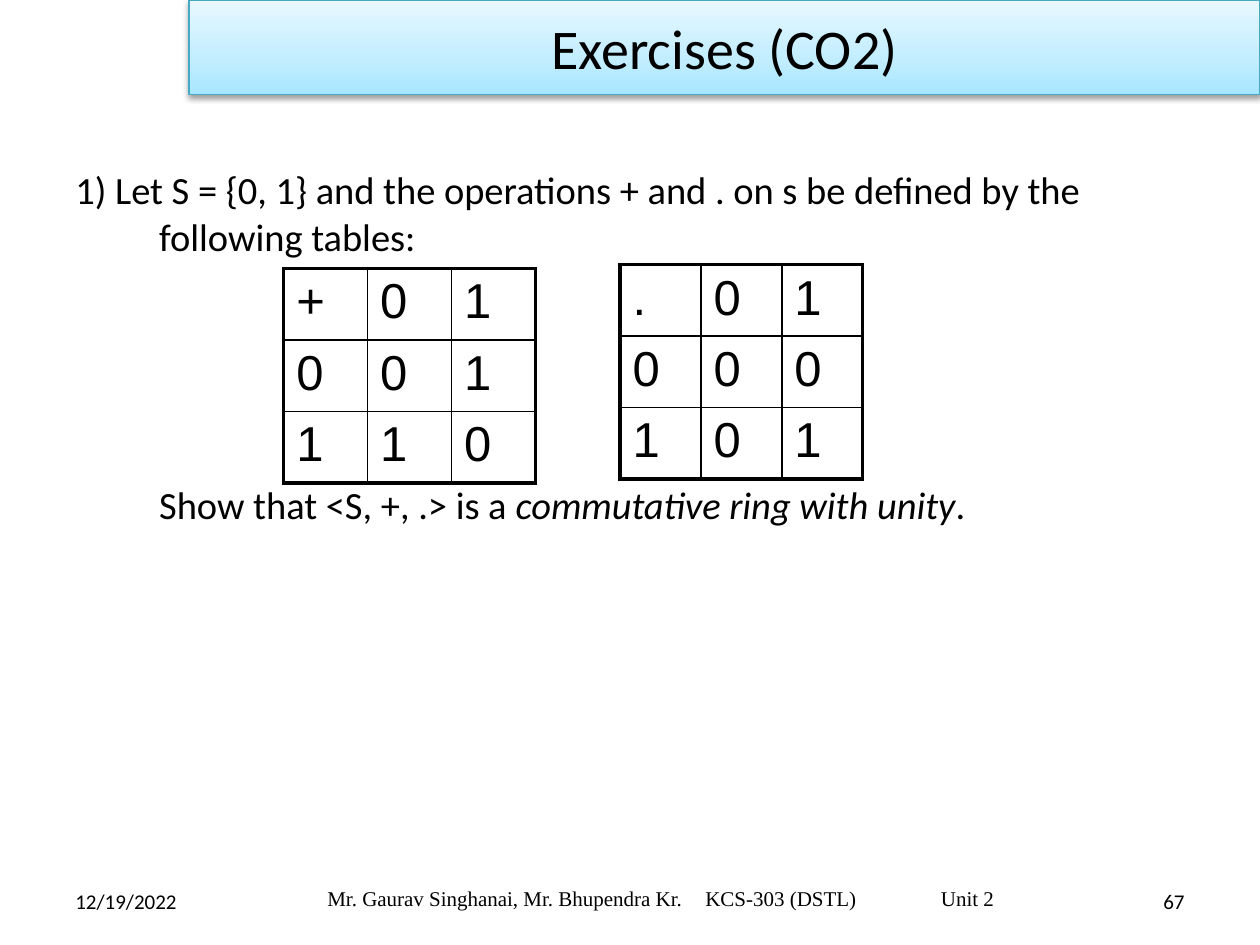
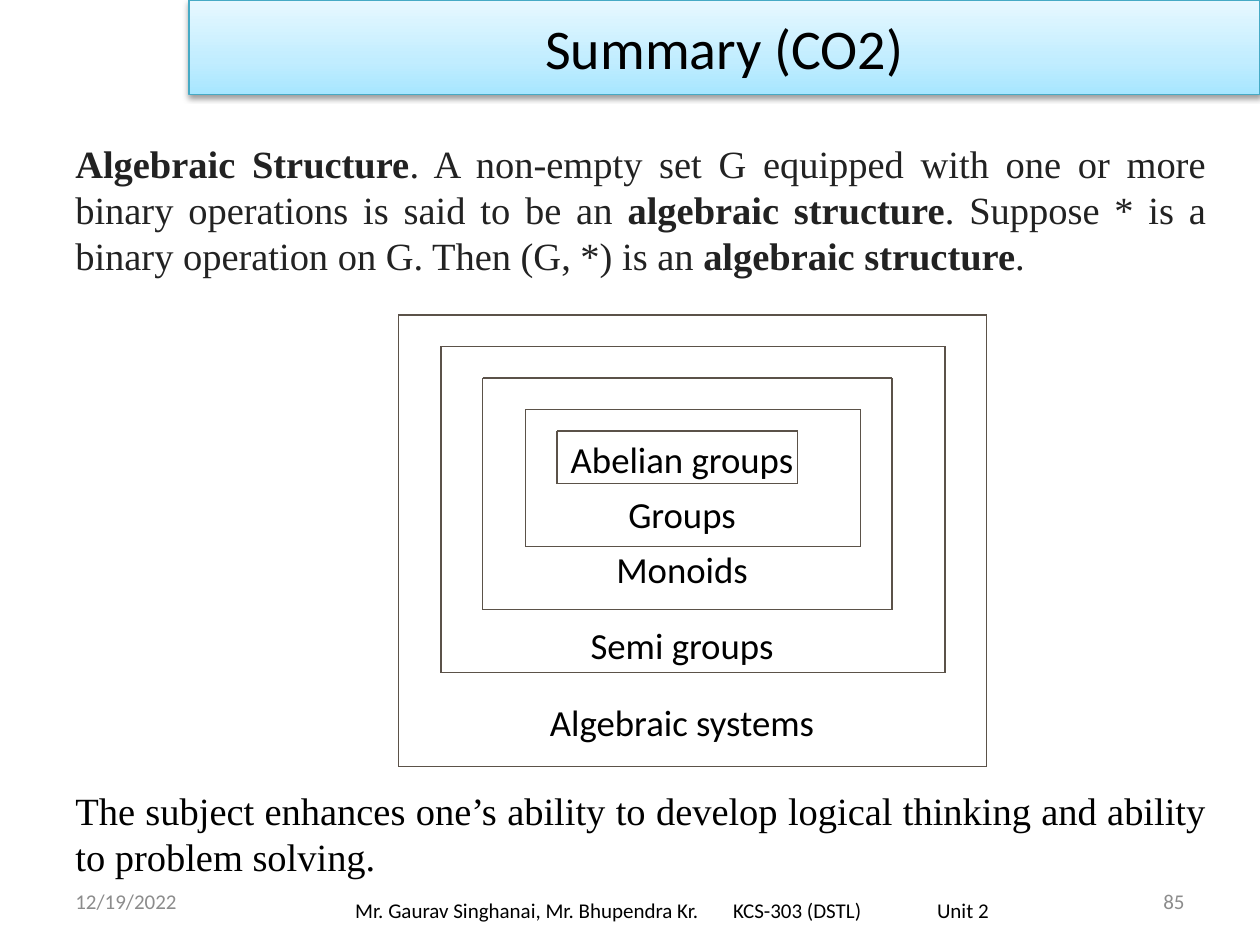
from copy import deepcopy

from lxml import etree
from pptx import Presentation
from pptx import util as u
from pptx.dml import color
from pptx.enum import shapes, text
from pptx.oxml import ns

rgb = color.RGBColor.from_string
BAND_STOPS = [(0, "A7E6FF"), (0.35, "C1EDFF"), (1, "E7F8FF")]
CALIBRI = {"name": "Calibri", "size": u.Pt(12)}
TIMES = {"name": "Times New Roman", "size": u.Pt(12)}
CENTER, RIGHT, JUSTIFY = text.PP_ALIGN.CENTER, text.PP_ALIGN.RIGHT, text.PP_ALIGN.JUSTIFY


def add_run(paragraph, words, font_format, ink="000000", **changes):
    run = paragraph.add_run()
    run.text = words
    for name, value in {**font_format, **changes}.items():
        setattr(run.font, name, value)
    run.font.color.rgb = rgb(ink)


def add_box(slide, left, top, width, height, anchor=text.MSO_ANCHOR.TOP):
    box = slide.shapes.add_textbox(u.Cm(left), u.Cm(top), u.Cm(width), u.Cm(height))
    box.text_frame.word_wrap = True
    box.text_frame.vertical_anchor = anchor
    return box.text_frame


presentation = Presentation()
presentation.slide_width, presentation.slide_height = u.Cm(25.4), u.Cm(19.05)

# Shared title band, date, page number and footer
pages = [
    {"title": "Exercises (CO2)", "number": "67", "ink": "000000", "font": TIMES,
     "footer": (6.35, 17.6), "inset": 0.25, "tabs": (7.62, 12.37)},
    {"title": "Summary (CO2)", "number": "85", "ink": "8C8C8C", "font": CALIBRI,
     "footer": (6.55, 17.83), "inset": 0.61, "tabs": (7.62, 11.73)},
]
for page in pages:
    slide = presentation.slides.add_slide(presentation.slide_layouts[6])
    middle = text.MSO_ANCHOR.MIDDLE

    date = add_box(slide, 1.27, 17.65, 5.92, 1.02, middle).paragraphs[0]
    add_run(date, "12/19/2022", CALIBRI, page["ink"])
    number = add_box(slide, 18.21, 17.65, 5.92, 1.02, middle).paragraphs[0]
    number.alignment = RIGHT
    add_run(number, page["number"], CALIBRI, page["ink"])

    band = slide.shapes.add_shape(shapes.MSO_SHAPE.RECTANGLE, u.Cm(3.81), 0, u.Cm(21.59), u.Cm(1.9))
    band.fill.gradient()
    band.fill.gradient_angle = 90
    stop_list = band._element.spPr.find(".//" + ns.qn("a:gsLst"))
    stop_list.append(deepcopy(stop_list[0]))
    for stop, (position, shade) in zip(band.fill.gradient_stops, BAND_STOPS):
        stop.position = position
        stop.color.rgb = rgb(shade)
    band.line.color.rgb = rgb("46AAC5")
    band.line.width = u.Pt(0.75)
    band.shadow.inherit = False
    band._element.spPr.find(ns.qn("a:effectLst")).append(etree.fromstring(
        f'<a:outerShdw {ns.nsdecls("a")} blurRad="40000" dist="20000" dir="5400000" rotWithShape="0">'
        '<a:srgbClr val="000000"><a:alpha val="38000"/></a:srgbClr></a:outerShdw>'))
    band.text_frame.vertical_anchor = middle
    title = band.text_frame.paragraphs[0]
    title.alignment = CENTER
    add_run(title, page["title"], CALIBRI, size=u.Pt(32))

    footer_frame = add_box(slide, *page["footer"], 13.97, 1.02, middle)
    footer_frame.margin_left = u.Cm(page["inset"])
    footer = footer_frame.paragraphs[0]
    tab_list = etree.SubElement(footer._p.get_or_add_pPr(), ns.qn("a:tabLst"))
    for position in page["tabs"]:
        etree.SubElement(tab_list, ns.qn("a:tab"), pos=str(u.Cm(position)), algn="l")
    add_run(footer, "Mr. Gaurav Singhanai, Mr. Bhupendra Kr.\tKCS-303 (DSTL)\tUnit 2", page["font"])

exercises, summary = presentation.slides

# Exercise wording, with room for the tables
frame = add_box(exercises, 1.27, 3.23, 23.06, 8.84)
question, task = frame.paragraphs[0], frame.add_paragraph()
for paragraph, indent in ((question, -1.69), (task, 0)):
    properties = paragraph._p.get_or_add_pPr()
    properties.set("marL", str(u.Cm(1.69)))
    properties.set("indent", str(u.Cm(indent)))
task.space_before = u.Pt(127)
body = {**CALIBRI, "size": u.Pt(22)}
add_run(question, "1) Let S = {0, 1} and the operations + and . on s be defined by the following tables:", body)
add_run(task, "Show that <S, +, .> is a ", body)
add_run(task, "commutative ring with unity", body, italic=True)
add_run(task, ".", body)

# Operation tables: thick outer frame, thin inner rules
operations = [
    (5.72, 5.41, 1.69, 1.37, ["+01", "001", "110"]),
    (12.5, 5.33, 1.63, 1.27, [".01", "000", "101"]),
]
for left, top, column_width, row_height, rows in operations:
    table = exercises.shapes.add_table(3, 3, u.Cm(left), u.Cm(top), u.Cm(3 * column_width),
                                       u.Cm(3 * row_height)).table
    table.first_row = table.horz_banding = False
    for index in range(3):
        table.columns[index].width = u.Cm(column_width)
        table.rows[index].height = u.Cm(row_height)
    for row, values in enumerate(rows):
        for column, value in enumerate(values):
            cell = table.cell(row, column)
            outer = {"lnL": column == 0, "lnR": column == 2, "lnT": row == 0, "lnB": row == 2}
            for side, thick in outer.items():
                border = etree.SubElement(cell._tc.get_or_add_tcPr(), ns.qn("a:" + side),
                                          w=str(u.Pt(2.25 if thick else 1)))
                solid = etree.SubElement(border, ns.qn("a:solidFill"))
                etree.SubElement(solid, ns.qn("a:srgbClr"), val="000000")
            cell.fill.background()
            add_run(cell.text_frame.paragraphs[0], value, {"name": "Arial", "size": u.Pt(28)})

# Summary wording, with room for the diagram
frame = add_box(summary, 1.27, 2.69, 23.29, 15.29)
definition, closing = frame.paragraphs[0], frame.add_paragraph()
definition.alignment = closing.alignment = JUSTIFY
closing.space_before = u.Pt(290.5)
body = {**TIMES, "size": u.Pt(22)}
phrases = [
    "Algebraic Structure",
    ". A non-empty set G equipped with one or more binary operations is said to be an ",
    "algebraic structure",
    ". Suppose * is a binary operation on G. Then (G, *) is an ",
    "algebraic structure",
    ".",
]
for index, phrase in enumerate(phrases):
    add_run(definition, phrase, body, "222222", bold=index % 2 == 0)
add_run(closing, "The subject enhances one’s ability to develop logical thinking and ability to problem solving.", body)

# Nested frames, innermost first: left, top, right, bottom
nested_frames = [
    (11.23, 8.69, 16.08, 9.75),
    (10.59, 8.26, 17.35, 11.02),
    (9.73, 7.62, 17.98, 12.29),
    (8.89, 6.98, 19.05, 13.56),
    (8.03, 6.35, 19.89, 15.45),
]
for left, top, right, bottom in nested_frames:
    sides = [(left, top, left, bottom), (right, top, right, bottom),
             (left, bottom, right, bottom), (left, top, right, top)]
    for ends in sides:
        side = summary.shapes.add_connector(shapes.MSO_CONNECTOR.STRAIGHT, *map(u.Cm, ends))
        side.line.color.rgb = rgb("5B5249")
        side.line.width = u.Pt(0.75)
        etree.SubElement(side._element.spPr, ns.qn("a:effectLst"))

# Frame labels
frame = add_box(summary, 7.82, 8.69, 11.86, 7.39)
labels = [("Abelian groups", 0, 1), ("Groups", 6, 1), ("Monoids", 6, 1),
          ("Semi groups", 6, 1.5), ("Algebraic systems", 6, 1.5)]
for index, (label, space, spacing) in enumerate(labels):
    paragraph = frame.add_paragraph() if index else frame.paragraphs[0]
    layout = {"alignment": CENTER, "space_before": u.Pt(space), "line_spacing": spacing}
    for name, value in layout.items():
        setattr(paragraph, name, value)
    add_run(paragraph, label, CALIBRI, size=u.Pt(21))

presentation.save("out.pptx")
